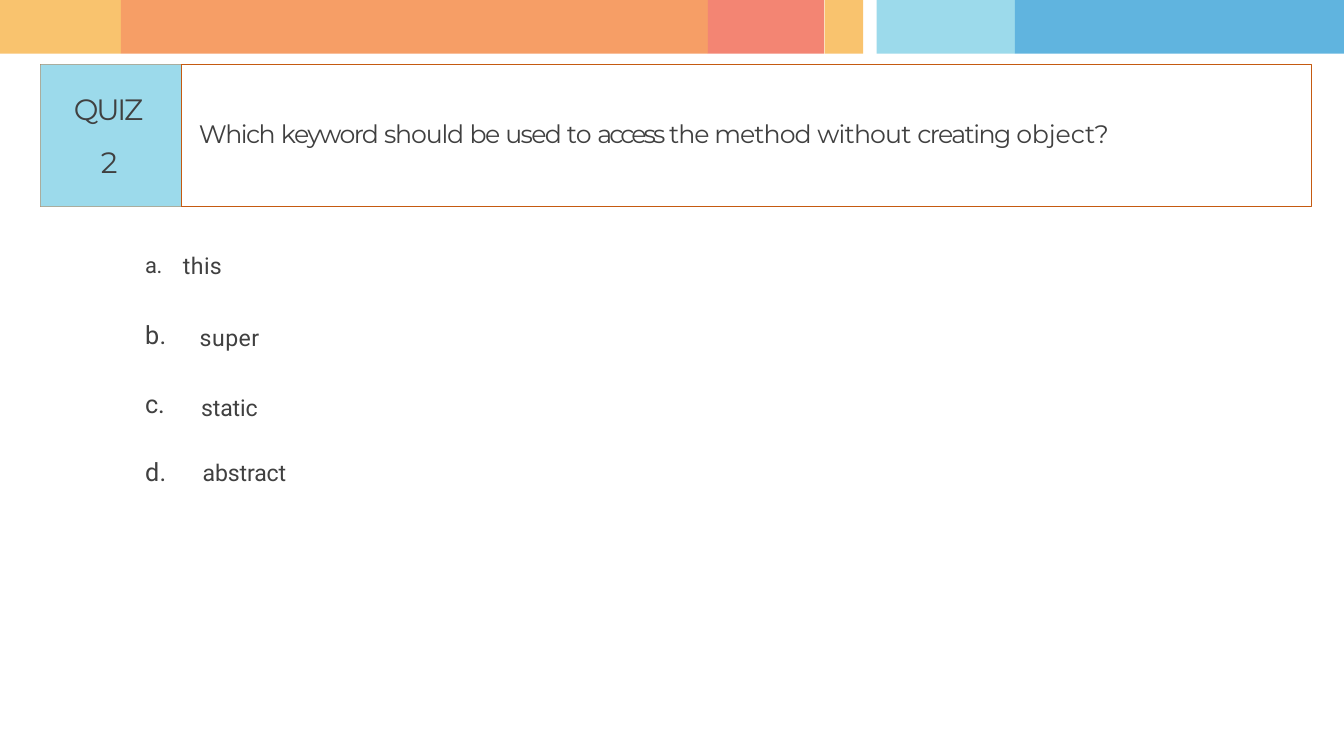
from dataclasses import dataclass
from pptx import Presentation
from pptx.dml.color import RGBColor as Rgb
from pptx.enum.shapes import MSO_CONNECTOR as Link, MSO_SHAPE as Shape
from pptx.enum.text import MSO_ANCHOR as Anchor, MSO_AUTO_SIZE as AutoSize, PP_ALIGN as Align
from pptx.oxml.ns import qn
from pptx.util import Cm, Pt
from lxml.etree import SubElement


@dataclass(frozen=True)
class Theme:
    yellow: str = "F9C36E"
    orange: str = "F69E66"
    coral: str = "F38573"
    aqua: str = "9CDAEB"
    blue: str = "60B4DF"
    border: str = "C55A11"
    ink: str = "404040"
    heading: str = "Montserrat"
    body: str = "Roboto"
    quiz_size: int = 28
    question_size: int = 24
    letter_size: int = 24
    raised_size: int = 36
    answer_size: int = 22


class QuizSlide:
    def __init__(self, deck, theme):
        self.theme = theme
        self.slide = deck.slides.add_slide(deck.slide_layouts[6])

    def block(self, left, top, width, height, fill=None, line=None):
        box = self.slide.shapes.add_shape(
            Shape.RECTANGLE, Cm(left), Cm(top), Cm(width), Cm(height))
        box.shadow.inherit = False
        if fill:
            box.fill.solid()
            box.fill.fore_color.rgb = Rgb.from_string(fill)
        else:
            box.fill.background()
        if line:
            box.line.color.rgb = Rgb.from_string(line)
            box.line.width = Pt(0.96)
        else:
            box.line.fill.background()
        return box

    def divider(self, left, top, height):
        line = self.slide.shapes.add_connector(
            Link.STRAIGHT, Cm(left), Cm(top), Cm(left), Cm(top + height))
        line.line.color.rgb = Rgb.from_string(self.theme.border)
        line.line.width = Pt(0.48)
        SubElement(line._element.spPr, qn("a:effectLst"))

    def label(self, left, top, width, height, spans, font, **layout):
        box = self.slide.shapes.add_textbox(Cm(left), Cm(top), Cm(width), Cm(height))
        self.set_text(box, spans, font, **layout)

    def set_text(self, box, spans, font, inset=0.07, margin=0.03, indent=0, tab=None, spacing=None):
        frame = box.text_frame
        frame_format = {
            "margin_left": 0, "margin_right": 0, "margin_top": Cm(inset), "margin_bottom": 0,
            "word_wrap": True, "auto_size": AutoSize.NONE, "vertical_anchor": Anchor.TOP,
        }
        for name, value in frame_format.items():
            setattr(frame, name, value)
        para = frame.paragraphs[0]
        properties = para._p.get_or_add_pPr()
        for name, value in {"marL": margin, "indent": indent}.items():
            properties.set(name, str(int(Cm(value))))
        if tab:
            tabs = SubElement(properties, qn("a:tabLst"))
            SubElement(tabs, qn("a:tab"), pos=str(int(Cm(tab))), algn="l")
        for name, value in {"alignment": Align.LEFT, "line_spacing": spacing}.items():
            setattr(para, name, value)
        for text, size, tracking, *raised in spans:
            if text == "\n":
                para.add_line_break()
                continue
            span = para.add_run()
            span.text = text
            for name, value in {"name": font, "size": Pt(size), "bold": False}.items():
                setattr(span.font, name, value)
            span.font.color.rgb = Rgb.from_string(self.theme.ink)
            character = span._r.get_or_add_rPr()
            character.set("spc", str(round(tracking * 100)))
            if raised:
                character.set("baseline", str(raised[0] * 1000))


def main():
    theme = Theme()
    deck = Presentation()
    deck.slide_width, deck.slide_height = Cm(45.16), Cm(25.4)
    page = QuizSlide(deck, theme)

    bands = [
        (0, 4.06, theme.yellow), (4.06, 23.79, theme.orange),
        (23.79, 27.69, theme.coral), (27.71, 29, theme.yellow),
        (29.46, 34.1, theme.aqua), (34.1, 45.16, theme.blue),
    ]
    for start, end, color in bands:
        page.block(start, 0, end - start, 1.8, fill=color)

    panel_left, panel_top, panel_height, quiz_width = 1.36, 2.16, 4.78, 4.72
    page.block(panel_left, panel_top, 42.72, panel_height, line=theme.border)
    page.divider(panel_left + quiz_width, panel_top, panel_height)
    quiz = page.block(panel_left, panel_top, quiz_width, panel_height, fill=theme.aqua)
    page.set_text(quiz, [("QUIZ", theme.quiz_size, -2), ("\n", 0, 0), ("2", theme.quiz_size, -0.5)],
                  theme.heading, inset=0.29, margin=2.03, indent=-0.91, spacing=1.51)

    question = [
        ("Which ", -1.4), ("keyword ", -1.5), ("should ", -1.1), ("be ", -1.5),
        ("used ", -1.6), ("to ", -0.8), ("access ", -2.8), ("the method ", -0.9),
        ("without ", -0.8), ("creating ", -1.5), ("object?", -0.1),
    ]
    page.label(6.1, 3.91, 37.97, 1.09,
               [(text, theme.question_size, tracking) for text, tracking in question],
               theme.heading, margin=0.58)

    letter_left = 4.85
    page.label(letter_left, 8.48, 3.23, 0.99,
               [("a.\t", theme.raised_size, -0.4, 1), ("this", theme.answer_size, 0.4)],
               theme.body, inset=0, tab=1.88, spacing=Pt(27.8))

    answers = [
        ("b.", 0.2, "super", 0.5, 6.68, 10.8),
        ("c.", -0.2, "static", -0.1, 6.73, 13.16),
        ("d.", 0.2, "abstract", -0.1, 6.78, 15.32),
    ]
    for row, (letter, letter_tracking, answer, tracking, left, top) in enumerate(answers):
        page.label(letter_left, 10.67 + row * 2.29, 0.85, 1.09,
                   [(letter, theme.letter_size, letter_tracking)], theme.body)
        page.label(left, top, 3, 0.99, [(answer, theme.answer_size, tracking)], theme.body)

    deck.save("out.pptx")


if __name__ == "__main__":
    main()
